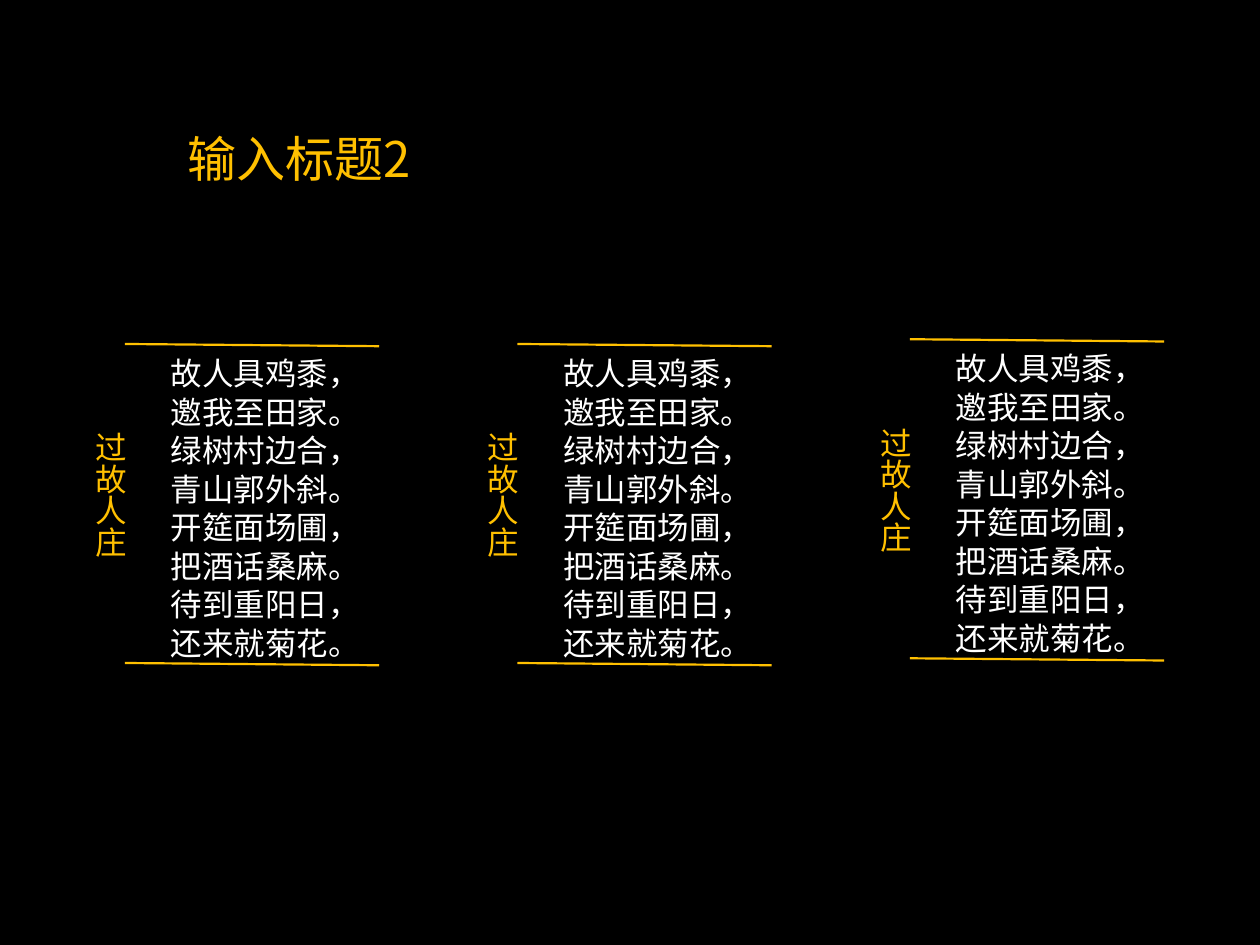
from pptx import Presentation
from pptx.dml.color import RGBColor
from pptx.enum import shapes, text
from pptx.oxml import ns, xmlchemy
from pptx.util import Inches, Pt

COLORS = {"night": "000000", "gold": "FFC000", "white": "FFFFFF"}
LATIN, HAN = "Calibri", "Noto Sans CJK SC"
WIDTH, HEIGHT = 10, 7.5
POEM = """故人具鸡黍，
邀我至田家。
绿树村边合，
青山郭外斜。
开筵面场圃，
把酒话桑麻。
待到重阳日，
还来就菊花。"""


def part(box, left, top, width, height):
    """Return the box that takes these shares of a larger box."""
    x, y, w, h = box
    return x + left * w, y + top * h, width * w, height * h


def add_text(parent, box, content, size=18, color="gold", font=LATIN,
             align=text.PP_ALIGN.LEFT, spacing=None, vertical=False):
    frame = parent.add_textbox(*map(Inches, box)).text_frame
    frame.word_wrap = False
    frame.auto_size = text.MSO_AUTO_SIZE.SHAPE_TO_FIT_TEXT
    if vertical:
        frame.margin_left = frame.margin_right = Inches(0.05)
        frame.margin_top = frame.margin_bottom = Inches(0.1)
        frame._txBody.bodyPr.set("vert", "eaVert")
    for index, line in enumerate(content.split("\n")):
        para = frame.add_paragraph() if index else frame.paragraphs[0]
        para.alignment = align
        if spacing:
            para.line_spacing = Pt(spacing)
        span = para.add_run()
        span.text = line
        span.font.size = Pt(size)
        span.font.name = font
        span.font.color.rgb = RGBColor.from_string(COLORS[color])
        east_asian = xmlchemy.OxmlElement("a:ea")
        east_asian.set("typeface", HAN)
        span.font._element.find(ns.qn("a:latin")).addnext(east_asian)


def add_rule(parent, box):
    """Draw a slightly falling line from corner to corner of the box."""
    x, y, w, h = box
    rule = parent.add_connector(shapes.MSO_CONNECTOR.STRAIGHT,
                                *map(Inches, (x, y, x + w, y + h)))
    rule.line.color.rgb = RGBColor.from_string(COLORS["gold"])
    rule.line.width = Pt(1.25)
    rule._element.spPr.append(xmlchemy.OxmlElement("a:effectLst"))


def add_title(page, box):
    add_text(page.shapes, box, "输入标题2", size=28, font=HAN)


def add_poem_panel(page, box):
    group = page.shapes.add_group_shape().shapes
    # Vertical poem name beside the verses
    add_text(group, part(box, 0, 0.235, 0.205, 0.43), "过故人庄", vertical=True)
    add_text(group, part(box, 0.28, 0.01, 0.7, 1), POEM, color="white",
             align=text.PP_ALIGN.CENTER, spacing=22)
    # Rules above and below the verses
    for top in (0, 0.993):
        add_rule(group, part(box, 0.173, top, 0.827, 0.007))


def main():
    deck = Presentation()
    deck.slide_width, deck.slide_height = Inches(WIDTH), Inches(HEIGHT)
    page = deck.slides.add_slide(deck.slide_layouts[6])
    page.background.fill.solid()
    page.background.fill.fore_color.rgb = RGBColor.from_string(COLORS["night"])
    slide_box = (0, 0, WIDTH, HEIGHT)

    add_title(page, part(slide_box, 0.139, 0.129, 0.207, 0.076))

    # Three equal columns, the last one set a little higher
    for column, top in enumerate((0.364, 0.364, 0.359)):
        left = 0.057 + column * 0.3115
        add_poem_panel(page, part(slide_box, left, top, 0.244, 0.34))

    deck.save("out.pptx")


if __name__ == "__main__":
    main()
